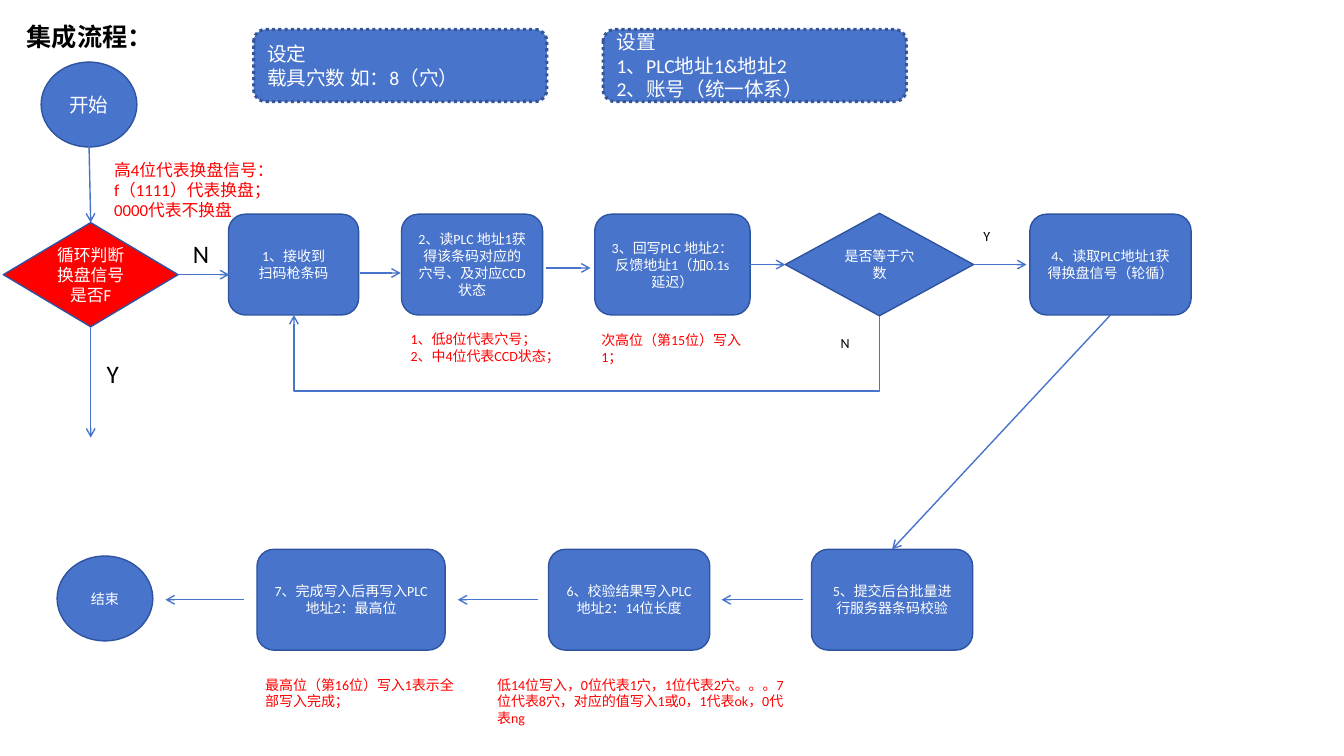
from lxml import etree
from pptx import Presentation
from pptx.dml.color import RGBColor
from pptx.enum.dml import MSO_LINE
from pptx.enum.shapes import MSO_CONNECTOR, MSO_SHAPE
from pptx.enum.text import MSO_ANCHOR, PP_ALIGN
from pptx.oxml.ns import qn
from pptx.util import Inches, Pt

PROCESS = MSO_SHAPE.FLOWCHART_ALTERNATE_PROCESS
DECISION = MSO_SHAPE.FLOWCHART_DECISION
TERMINAL = MSO_SHAPE.FLOWCHART_CONNECTOR
STRAIGHT, ELBOW = MSO_CONNECTOR.STRAIGHT, MSO_CONNECTOR.ELBOW
DOTTED = MSO_LINE.ROUND_DOT
MIDDLE, TOP_ANCHOR = MSO_ANCHOR.MIDDLE, MSO_ANCHOR.TOP
CENTER, LEFT_ALIGN = PP_ALIGN.CENTER, PP_ALIGN.LEFT
TOP, LEFT, BOTTOM, RIGHT = range(4)

BLUE, EDGE, BANNER_EDGE = "4874CB", "2E54A1", "355696"
RED, WHITE, BLACK = "FF0000", "FFFFFF", "000000"
COLUMNS, ROWS = 160, 90


def rgb(color):
    return RGBColor.from_string(color)


def write(frame, text, size=10, color=WHITE, bold=False, align=CENTER, anchor=MIDDLE):
    """Fill a text frame, one paragraph per line of text."""
    frame.word_wrap = True
    frame.vertical_anchor = anchor
    for number, line in enumerate(text.split("\n")):
        paragraph = frame.add_paragraph() if number else frame.paragraphs[0]
        paragraph.alignment = align
        run = paragraph.add_run()
        run.text = line
        run.font.name = "Calibri"
        run.font.size = Pt(size)
        run.font.bold = bold
        run.font.color.rgb = rgb(color)


class FlowChart:
    """Draws on one slide, with lengths in grid columns and rows."""

    def __init__(self, presentation):
        self.slide = presentation.slides.add_slide(presentation.slide_layouts[6])
        self.column = presentation.slide_width / COLUMNS
        self.row = presentation.slide_height / ROWS

    def place(self, *lengths):
        """Turn alternating columns and rows into slide units."""
        units = (self.column, self.row)
        return [round(length * units[i % 2]) for i, length in enumerate(lengths)]

    def node(self, kind, at, text, fill=BLUE, edge=EDGE, width=1, dash=None, **style):
        shape = self.slide.shapes.add_shape(kind, *self.place(*at))
        shape.shadow.inherit = False
        shape.fill.solid()
        shape.fill.fore_color.rgb = rgb(fill)
        shape.line.color.rgb = rgb(edge)
        shape.line.width = Pt(width)
        if dash:
            shape.line.dash_style = dash
        write(shape.text_frame, text, **style)
        return shape

    def note(self, at, text, color=RED, **style):
        box = self.slide.shapes.add_textbox(*self.place(*at))
        write(box.text_frame, text, color=color, align=LEFT_ALIGN, anchor=TOP_ANCHOR, **style)

    def arrow(self, start, end, source=None, target=None, kind=STRAIGHT):
        """Draw an arrow; source and target are (shape, side) pairs to join."""
        connector = self.slide.shapes.add_connector(kind, *self.place(*start, *end))
        if source:
            connector.begin_connect(*source)
        if target:
            connector.end_connect(*target)
        connector.line.color.rgb = rgb(BLUE)
        connector.line.width = Pt(1)
        outline = connector.line._get_or_add_ln()
        etree.SubElement(outline, qn("a:tailEnd"), type="arrow")
        etree.SubElement(connector._element.spPr, qn("a:effectLst"))
        return connector

    def return_arrow(self, start, end, drop):
        """Draw an elbow that goes down by drop rows, left, and up to end."""
        connector = self.arrow(start, end, kind=ELBOW)
        span, rise = connector.width, connector.height
        center_x = connector.left + span // 2
        center_y = connector.top + rise // 2
        connector.left, connector.top = center_x - rise // 2, center_y - span // 2
        connector.width, connector.height = rise, span
        properties = connector._element.spPr
        transform = properties.find(qn("a:xfrm"))
        transform.attrib.pop("flipV", None)
        transform.set("flipH", "1")
        transform.set("rot", "5400000")
        adjustments = properties.find(qn("a:prstGeom")).find(qn("a:avLst"))
        bend = round(-drop * self.row / rise * 100000)
        etree.SubElement(adjustments, qn("a:gd"), name="adj1", fmla=f"val {bend}")


def draw(chart):
    chart.note((2, 1.9, 53.3, 4.8), "集成流程：", BLACK, size=18, bold=True)
    for left, width, text in (
        (30.2, 34.9, "设定\n载具穴数 如：8（穴）"),
        (71.8, 36.1, "设置\n1、PLC地址1&地址2\n2、账号（统一体系）"),
    ):
        chart.node(PROCESS, (left, 3.5, width, 8.6), text, edge=BANNER_EDGE,
                   width=2.25, dash=DOTTED, size=14, align=LEFT_ALIGN)

    chart.node(TERMINAL, (4.9, 7.4, 11.4, 10.1), "开始", size=14)
    chart.node(TERMINAL, (6.8, 66.2, 11.4, 10.1), "结束")
    signal = chart.node(DECISION, (0.4, 26.5, 20.8, 12.4), "循环判断换盘信号是否F",
                        fill=RED, size=12)
    count = chart.node(DECISION, (93.5, 25.4, 22.4, 12.2), "是否等于穴数")

    upper, lower, height = 25.5, 65.4, 12
    steps = [
        chart.node(PROCESS, (left, top, width, height), text)
        for left, top, width, text in (
            (27.2, upper, 15.5, "1、接收到\n扫码枪条码"),
            (47.8, upper, 16.8, "2、读PLC 地址1获得该条码对应的穴号、及对应CCD状态"),
            (70.8, upper, 18.5, "3、回写PLC 地址2：\n反馈地址1（加0.1s延迟）"),
            (122.6, upper, 19.2, "4、读取PLC地址1获得换盘信号（轮循）"),
            (96.6, lower, 19.2, "5、提交后台批量进行服务器条码校验"),
            (65.3, lower, 19.2, "6、校验结果写入PLC地址2：14位长度"),
            (30.6, lower, 22.4, "7、完成写入后再写入PLC地址2：最高位"),
        )
    ]
    read_signal, submit = steps[3:5]

    for start, end, source, target in (
        ((10.6, 17.4), (10.8, 26.5), None, (signal, TOP)),
        ((21.2, 32.7), (27.3, 32.7), (signal, RIGHT), None),
        ((10.8, 38.9), (10.8, 52.1), (signal, BOTTOM), None),
        ((42.8, 32.5), (47.7, 32.5), None, None),
        ((65, 31.9), (70.3, 31.9), None, None),
        ((88.7, 31.5), (93.5, 31.5), None, (count, LEFT)),
        ((115.9, 31.5), (122.2, 31.5), (count, RIGHT), None),
        ((132.2, 37.5), (106.2, 65.4), (read_signal, BOTTOM), (submit, TOP)),
        ((95.6, 71.4), (85.9, 71.4), None, None),
        ((64, 71.4), (54.5, 71.4), None, None),
        ((29, 71.4), (19.7, 71.4), None, None),
    ):
        chart.arrow(start, end, source, target)
    chart.return_arrow((104.7, 37.6), (35, 37.5), drop=9)

    for at, text, size in (
        ((21.8, 27.8, 5.3, 4.8), "N", 18),
        ((11.5, 42.1, 6.7, 5.8), "Y", 18),
        ((98.9, 39.2, 4.1, 4.8), "N", 10),
        ((115.9, 26.5, 6.2, 3.6), "Y", 10),
    ):
        chart.note(at, text, BLACK, size=size)

    chart.note((12.4, 18.4, 19.8, 7.3),
               "高4位代表换盘信号：f（1111）代表换盘；0000代表不换盘", size=12)
    for at, text in (
        ((47.7, 38.8, 20.8, 5.3), "1、低8位代表穴号；\n2、中4位代表CCD状态；"),
        ((70.4, 38.9, 20.8, 5.3), "次高位（第15位）写入1；"),
        ((58, 79.9, 37.1, 7.9),
         "低14位写入，0位代表1穴，1位代表2穴。。。7位代表8穴，对应的值写入1或0，1代表ok，0代表ng"),
        ((30.4, 79.9, 25.3, 7.2), "最高位（第16位）写入1表示全部写入完成；"),
    ):
        chart.note(at, text)


def main():
    presentation = Presentation()
    presentation.slide_width = Inches(13.33)
    presentation.slide_height = Inches(7.5)
    draw(FlowChart(presentation))
    presentation.save("out.pptx")


if __name__ == "__main__":
    main()
